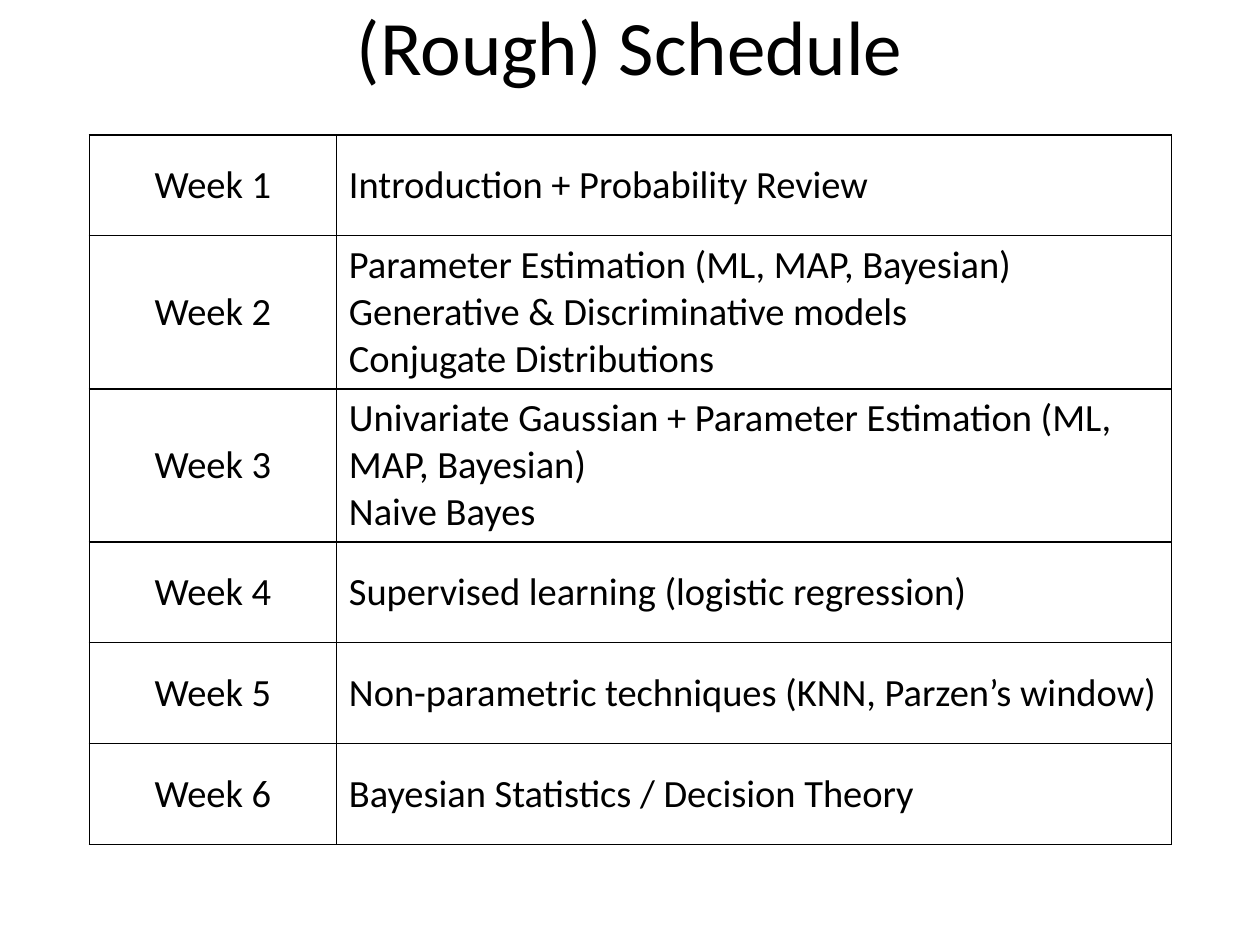
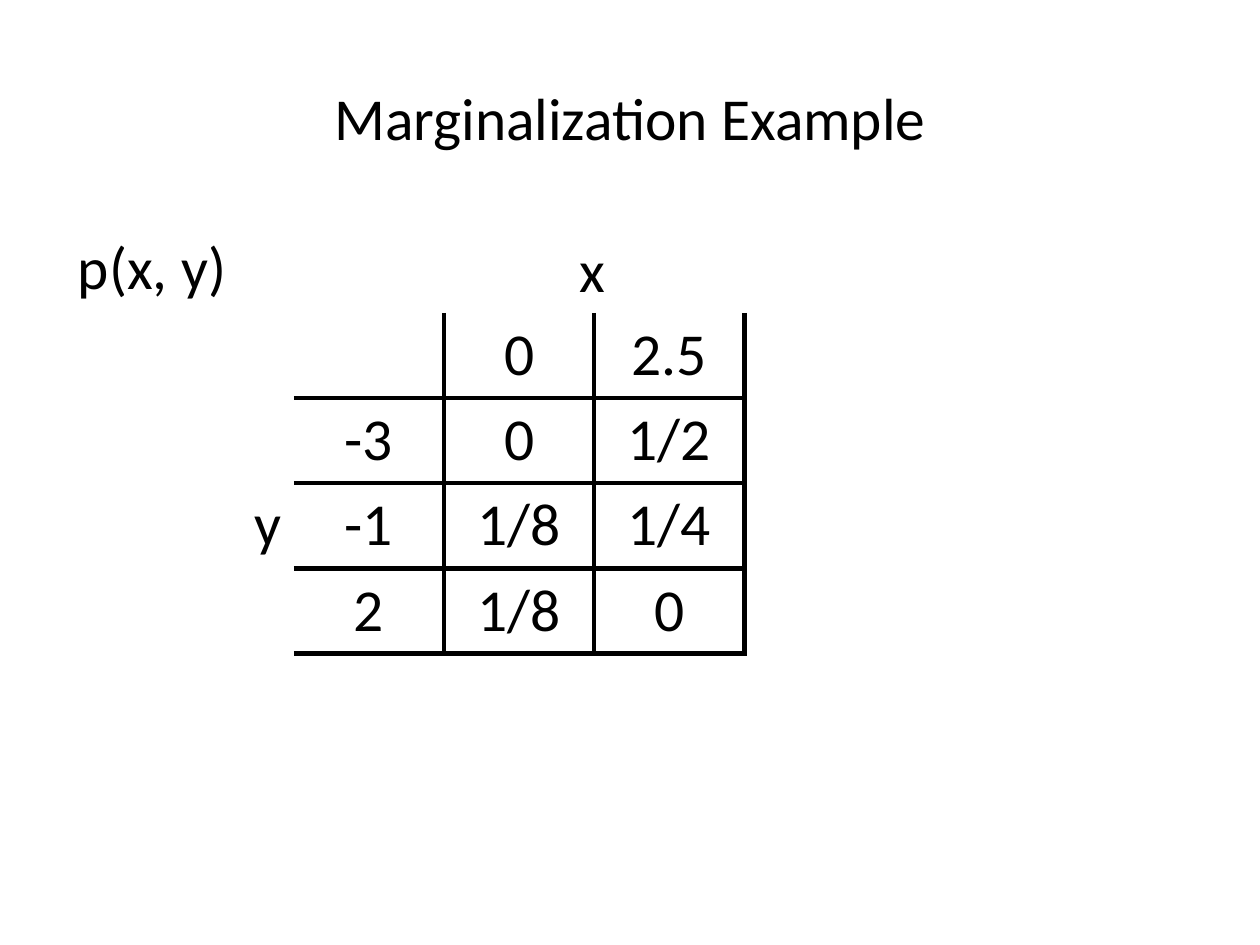
import pptx
import pptx.dml.color
import pptx.enum.text
import pptx.oxml.ns
import pptx.util
from dataclasses import dataclass
from lxml import etree
from pptx.util import Inches, Pt


@dataclass(frozen=True)
class Theme:
    font: str = "Calibri"
    ink: str = "000000"
    schedule_title: int = 44
    example: int = 34
    schedule: int = 22
    grid_line: int = 1
    example_line: int = 3
    plain_table: str = "{2D5ABB26-0587-4C30-8999-92F81FD0307C}"


theme = Theme()
align = pptx.enum.text.PP_ALIGN
middle = pptx.enum.text.MSO_ANCHOR.MIDDLE
qn = pptx.oxml.ns.qn


def style_text(text_frame, size, alignment):
    for paragraph in text_frame.paragraphs:
        paragraph.alignment = alignment
        paragraph.font.name = theme.font
        paragraph.font.size = Pt(size)
        paragraph.font.color.rgb = pptx.dml.color.RGBColor.from_string(theme.ink)


def style_cell(cell, sides, width):
    properties = cell._tc.get_or_add_tcPr()
    for side in "LRTB":
        if side in sides:
            line = etree.SubElement(properties, qn(f"a:ln{side}"), w=str(Pt(width)))
            fill = etree.SubElement(line, qn("a:solidFill"))
            etree.SubElement(fill, qn("a:srgbClr"), val=theme.ink)
    cell.fill.background()


presentation = pptx.Presentation()
presentation.slide_width = Inches(10)
presentation.slide_height = Inches(7.5)

schedule = [
    ("Week 1", "Introduction + Probability Review", 0.8),
    ("Week 2", "Parameter Estimation (ML, MAP, Bayesian)\n"
               "Generative & Discriminative models\nConjugate Distributions", 1.21),
    ("Week 3", "Univariate Gaussian + Parameter Estimation (ML, MAP, Bayesian)\n"
               "Naive Bayes", 1.21),
    ("Week 4", "Supervised learning (logistic regression)", 0.8),
    ("Week 5", "Non-parametric techniques (KNN, Parzen’s window)", 0.8),
    ("Week 6", "Bayesian Statistics / Decision Theory", 0.8),
]
joint_distribution = [
    ("", "", "", "", ""),
    ("", "", "0", "2.5", ""),
    ("", "-3", "0", "1/2", ""),
    ("y", "-1", "1/8", "1/4", ""),
    ("", "2", "1/8", "0", ""),
    ("", "", "", "", ""),
]
pages = [
    ("(Rough) Schedule", theme.schedule_title, (0.5, -0.13, 9, 0.97),
     (len(schedule), 2, 0.71, 1.07, 8.59, 5.62)),
    ("Marginalization Example", theme.example, (0.5, 0.3, 9, 1.25),
     (len(joint_distribution), 5, 1.14, 1.81, 5.96, 4.04)),
]

tables = []
for heading, size, title_box, (rows, columns, *table_box) in pages:
    slide = presentation.slides.add_slide(presentation.slide_layouts[5])
    title = slide.shapes.title
    title.left, title.top, title.width, title.height = map(Inches, title_box)
    title.text_frame.text = heading
    title.text_frame.vertical_anchor = middle
    style_text(title.text_frame, size, align.CENTER)
    table = slide.shapes.add_table(rows, columns, *map(Inches, table_box)).table
    table.first_row = table.horz_banding = False
    table._tbl.tblPr.find(qn("a:tableStyleId")).text = theme.plain_table
    tables.append(table)

schedule_table, example_table = tables

for column, width in zip(schedule_table.columns, (1.96, 6.63)):
    column.width = Inches(width)
for row, (week, topics, height) in zip(schedule_table.rows, schedule):
    row.height = Inches(height)
    for cell, text, alignment in zip(row.cells, (week, topics), (align.CENTER, align.LEFT)):
        cell.text = text
        cell.vertical_anchor = middle
        style_text(cell.text_frame, theme.schedule, alignment)
        style_cell(cell, "LRTB", theme.grid_line)

ruled_rows = range(1, 5)
ruled_columns = range(1, 4)
lines_below = (1, 2, 4)
for row_index, values in enumerate(joint_distribution):
    for column_index, value in enumerate(values):
        cell = example_table.cell(row_index, column_index)
        sides = ""
        if row_index in ruled_rows:
            sides += "L" if column_index - 1 in ruled_columns else ""
            sides += "R" if column_index in ruled_columns else ""
        if column_index in ruled_columns:
            sides += "T" if row_index - 1 in lines_below else ""
            sides += "B" if row_index in lines_below else ""
        if value:
            cell.text = value
            style_text(cell.text_frame, theme.example,
                       align.RIGHT if column_index == 0 else align.CENTER)
        style_cell(cell, sides, theme.example_line)

for text, box in (("p(x, y)", (0.52, 1.78, 1.39, 0.67)), ("x", (4.5, 1.8, 0.41, 0.67))):
    label = slide.shapes.add_textbox(*map(Inches, box)).text_frame
    label.text = text
    label.word_wrap = False
    label.auto_size = pptx.enum.text.MSO_AUTO_SIZE.SHAPE_TO_FIT_TEXT
    style_text(label, theme.example, align.LEFT)

presentation.save("out.pptx")
